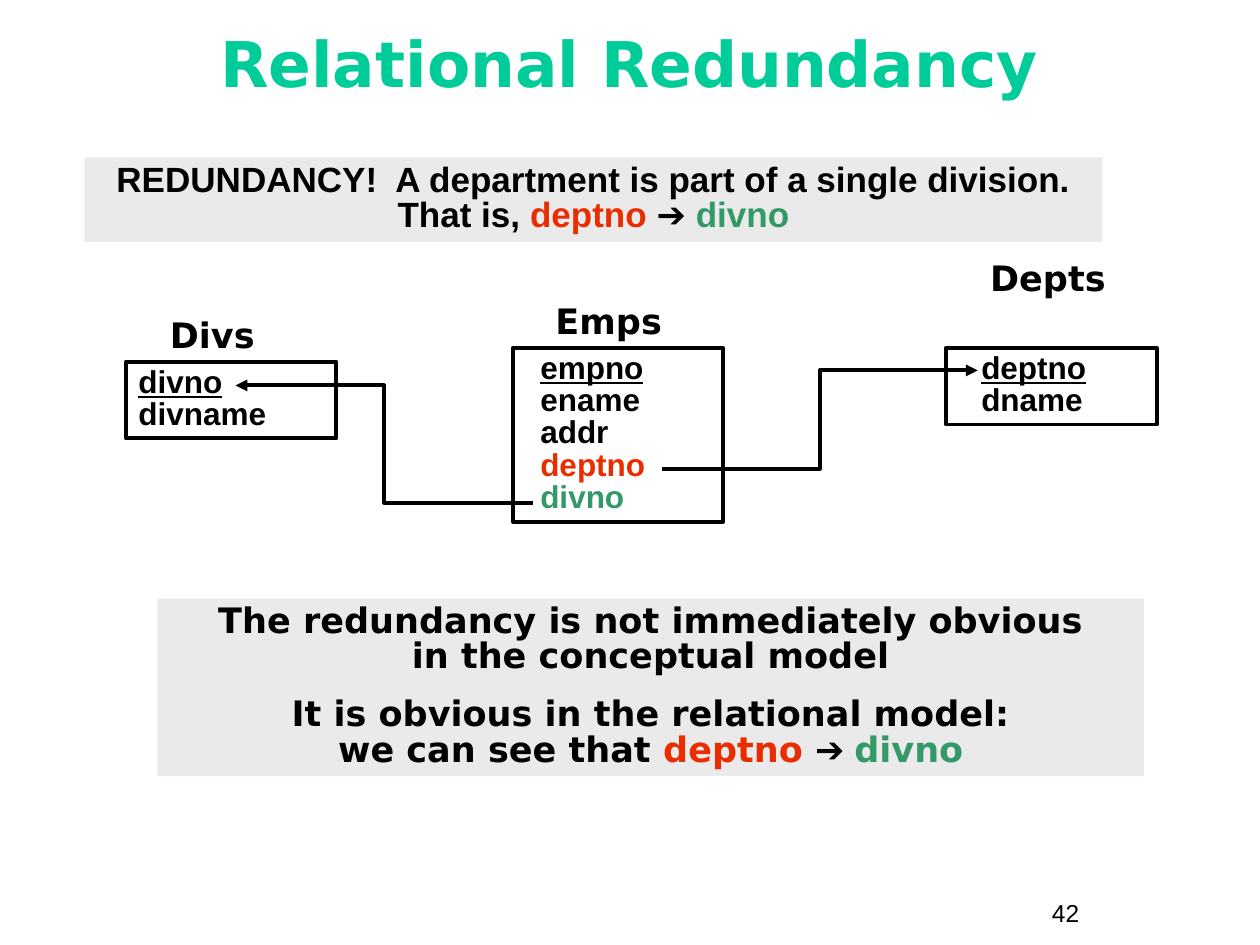
from pptx import Presentation
from pptx import util as u
from pptx.dml.color import RGBColor
from pptx.enum import shapes, text
from pptx.oxml import ns, xmlchemy

BLACK = RGBColor(0x00, 0x00, 0x00)
GREY = RGBColor(0xEA, 0xEA, 0xEA)
TEAL = RGBColor(0x00, 0xCC, 0x99)
RED = RGBColor(0xEA, 0x2D, 0x00)
GREEN = RGBColor(0x33, 0x99, 0x66)
SANS, ARIAL = "DejaVu Sans", "Arial"

TITLE = "Relational Redundancy"
PAGE_NUMBER = "42"
RULE = [
    [("REDUNDANCY!  A department is part of a single division.\nThat is, ", {}),
     ("deptno ", {"color": RED}), ("➔ ", {}), ("divno", {"color": GREEN})],
]
CONCLUSION = [
    [("The redundancy is not immediately obvious\nin the conceptual model", {})],
    [("It is obvious in the relational model:\nwe can see that ", {}),
     ("deptno ", {"color": RED}), ("➔ ", {"font": ARIAL}), ("divno", {"color": GREEN})],
]
BANNERS = [
    (RULE, ARIAL, (0.67, 1.25, 8.08, 0.67)),
    (CONCLUSION, SANS, (1.25, 4.75, 7.83, 1.41)),
]
KEY = {"underline": True}
TABLES = [
    {"name": "Emps", "label": (4.31, 2.33, 1.08, 0.44), "box": (4.07, 2.76, 1.67, 1.38),
     "indent": 0.12,
     "fields": [("empno", KEY), ("ename", {}), ("addr", {}),
                ("deptno", {"color": RED}), ("divno", {"color": GREEN})]},
    {"name": "Depts", "label": (7.76, 1.99, 1.24, 0.44), "box": (7.51, 2.76, 1.67, 0.61),
     "indent": 0.18, "fields": [("deptno", KEY), ("dname", {})]},
    {"name": "Divs", "label": (1.25, 2.44, 1.08, 0.44), "box": (1, 2.87, 1.67, 0.61),
     "indent": 0, "fields": [("divno", KEY), ("divname", {})]},
]
REFERENCES = [(5.25, 3.72, 7.76, 2.94), (4.23, 3.99, 1.87, 3.06)]


def inches(values):
    return [u.Inches(value) for value in values]


def write(shape, paragraphs, font=SANS, size=20, color=BLACK, bold=True, spacing=None,
          align=text.PP_ALIGN.LEFT, anchor=text.MSO_ANCHOR.TOP, gap=0, indent=0):
    frame = shape.text_frame
    frame.word_wrap = True
    frame.auto_size = text.MSO_AUTO_SIZE.NONE
    frame.vertical_anchor = anchor
    for index, parts in enumerate(paragraphs):
        para = frame.add_paragraph() if index else frame.paragraphs[0]
        para.alignment = align
        para.line_spacing = spacing
        para.space_before = u.Pt(gap if index else 0)
        if indent:
            para._p.get_or_add_pPr().set("marL", str(u.Inches(indent)))
        for content, style in parts:
            for number, line in enumerate(content.split("\n")):
                if number:
                    para.add_line_break()
                span = para.add_run()
                span.text = line
                span.font.name = style.get("font", font)
                span.font.size = u.Pt(size)
                span.font.bold = bold
                span.font.underline = style.get("underline", False)
                span.font.color.rgb = style.get("color", color)


def add_label(page, content, place, **style):
    write(page.shapes.add_textbox(*inches(place)), [[(content, {})]], **style)


def add_box(page, place, fill=None):
    box = page.shapes.add_shape(shapes.MSO_SHAPE.RECTANGLE, *inches(place))
    box.shadow.inherit = False
    if fill is None:
        box.fill.background()
        box.line.color.rgb = BLACK
        box.line.width = u.Pt(2.25)
    else:
        box.fill.solid()
        box.fill.fore_color.rgb = fill
        box.line.fill.background()
    return box


def add_reference(page, ends):
    arrow = page.shapes.add_connector(shapes.MSO_CONNECTOR.ELBOW, *inches(ends))
    arrow.line.color.rgb = BLACK
    arrow.line.width = u.Pt(2.25)
    head = xmlchemy.OxmlElement("a:tailEnd")
    head.set("type", "triangle")
    properties = arrow._element.spPr
    properties.find(ns.qn("a:ln")).append(head)
    properties.append(xmlchemy.OxmlElement("a:effectLst"))


def main():
    deck = Presentation()
    deck.slide_width, deck.slide_height = u.Inches(10), u.Inches(7.5)
    page = deck.slides.add_slide(deck.slide_layouts[5])

    title = page.shapes.title
    title.left, title.top, title.width, title.height = inches((0.33, 0.08, 9.33, 0.92))
    write(title, [[(TITLE, {})]], size=36, color=TEAL, spacing=0.85,
          align=text.PP_ALIGN.CENTER, anchor=text.MSO_ANCHOR.MIDDLE)

    for table in TABLES:
        add_label(page, table["name"], table["label"])
        write(add_box(page, table["box"]), [[field] for field in table["fields"]],
              font=ARIAL, size=18, spacing=0.85, indent=table["indent"])
    for ends in REFERENCES:
        add_reference(page, ends)
    for paragraphs, font, place in BANNERS:
        write(add_box(page, place, GREY), paragraphs, font=font, spacing=0.85,
              align=text.PP_ALIGN.CENTER, gap=12.5)
    add_label(page, PAGE_NUMBER, (8.25, 7.08, 0.92, 0.34), font=ARIAL, size=14, bold=False)

    deck.save("out.pptx")


if __name__ == "__main__":
    main()
